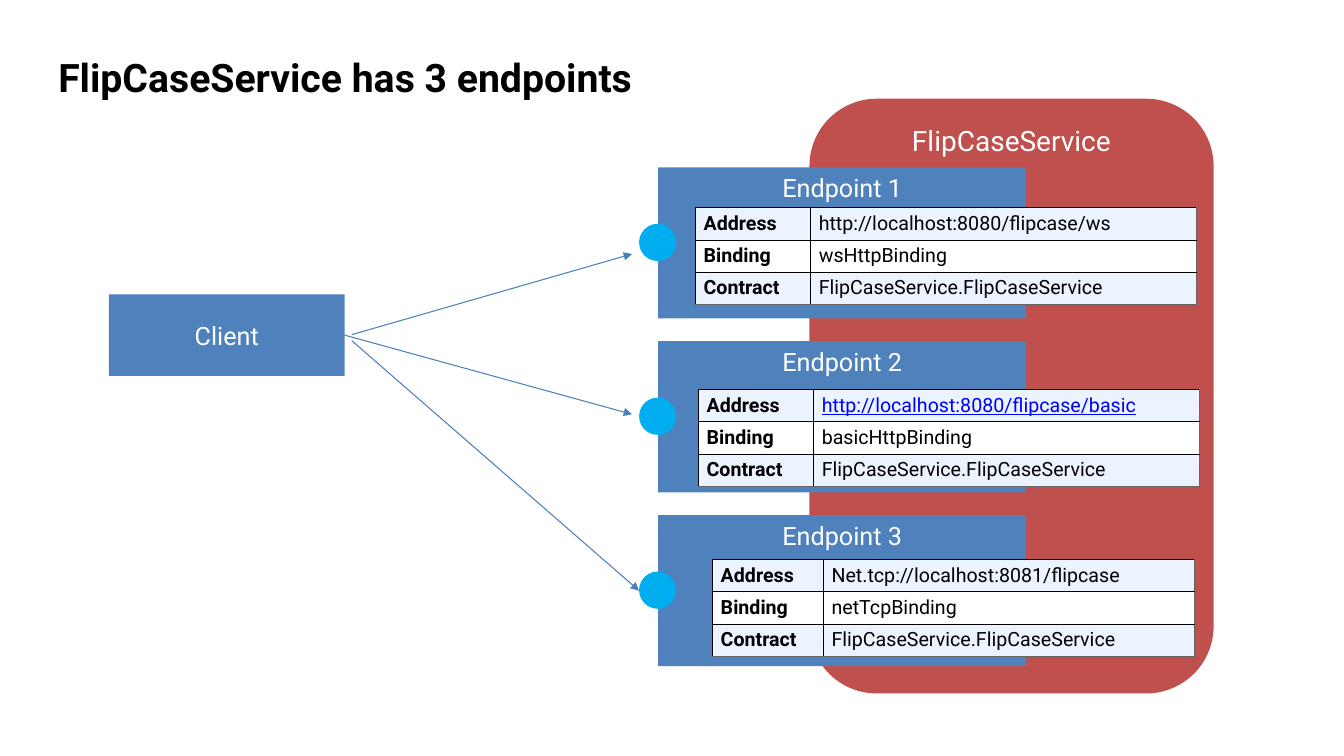
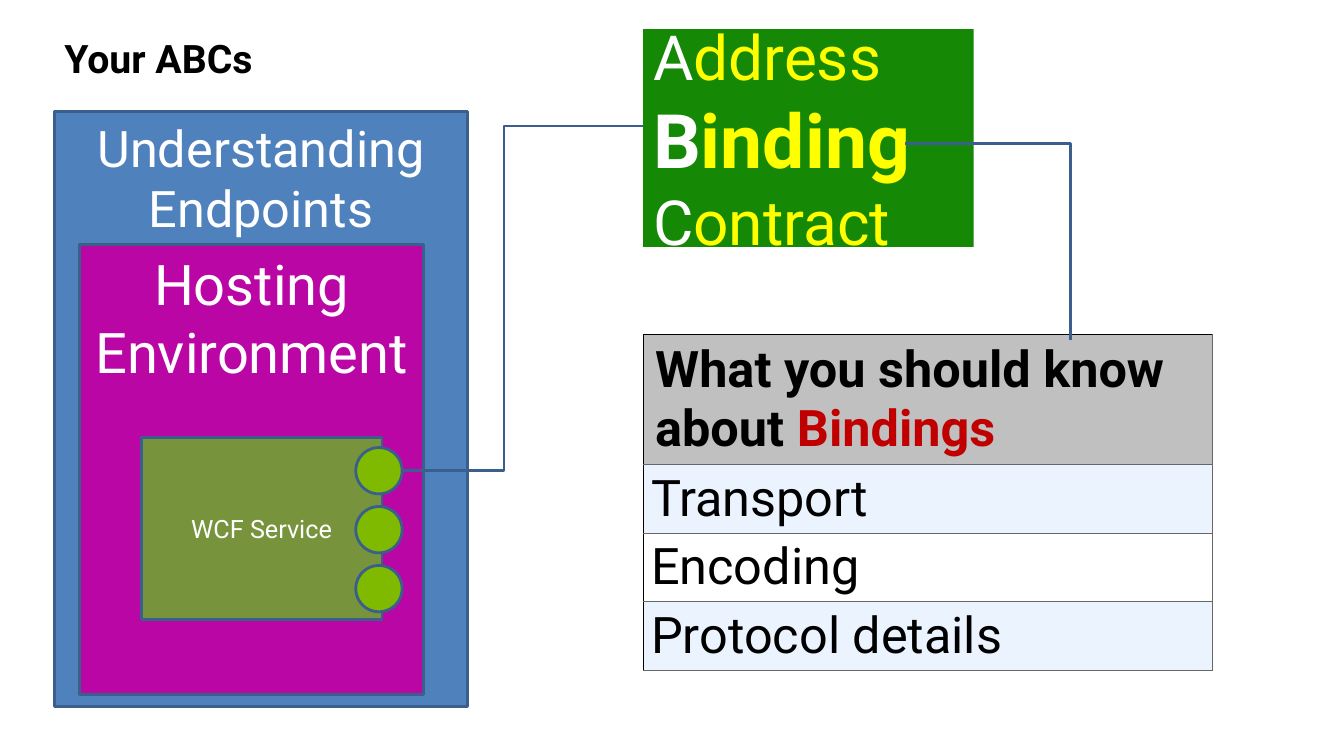
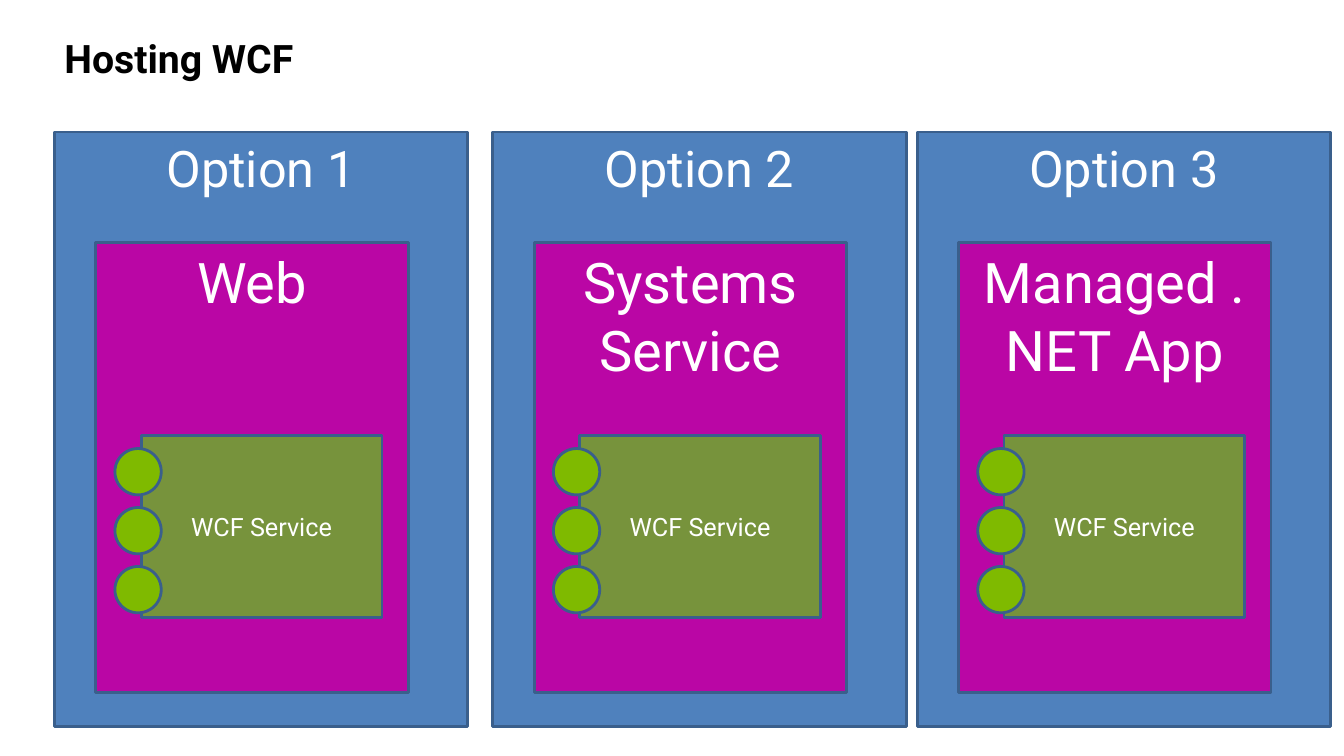
from dataclasses import dataclass

from lxml import etree
from pptx import Presentation
from pptx.dml.color import RGBColor
from pptx.enum.shapes import MSO_CONNECTOR, MSO_SHAPE
from pptx.enum.text import MSO_ANCHOR, PP_ALIGN
from pptx.oxml.ns import qn
from pptx.util import Inches, Pt

RECTANGLE = MSO_SHAPE.RECTANGLE
ROUNDED = MSO_SHAPE.ROUNDED_RECTANGLE
ELLIPSE = MSO_SHAPE.OVAL
STRAIGHT = MSO_CONNECTOR.STRAIGHT
TOP, MIDDLE = MSO_ANCHOR.TOP, MSO_ANCHOR.MIDDLE
LEFT, CENTER = PP_ALIGN.LEFT, PP_ALIGN.CENTER
RIGHT_SIDE = 3

FONT = "Roboto"
WHITE, BLACK, GREY = "FFFFFF", "000000", "666666"
BLUE, RED, CYAN = "4F81BD", "C0504D", "00AEEF"
OUTLINE, ARROW = "3A5F8C", "4B7EBC"
MAGENTA, OLIVE, LIME = "BA06A5", "77933C", "7FBA00"
GREEN, YELLOW = "158905", "FFFF00"
HEADER, HEADER_WORD = "C0C0C0", "C00000"
BAND, LINK = "EBF3FF", "0000FF"

CELL_INCHES = 0.1
GRID_COLUMNS, GRID_ROWS = 133.33, 75

ENDPOINT_PITCH = 17.25
CIRCLE_PITCH = 5.85
ENDPOINTS = [
    ("Endpoint 1", "http://localhost:8080/flipcase/ws", "wsHttpBinding", (3.7, 4, 49.7)),
    ("Endpoint 2", "http://localhost:8080/flipcase/basic", "basicHttpBinding", (4, 4.8, 49.7)),
    ("Endpoint 3", "Net.tcp://localhost:8081/flipcase", "netTcpBinding", (5.4, 4.4, 47.8)),
]
LINKED_ADDRESS = ENDPOINTS[1][1]
ARROWS = [((34.9, 33.2), (62.7, 25.2)), ((34.2, 33.2), (62.7, 41.1)), ((34.9, 33.8), (63.4, 58.6))]
OPTIONS = [(5.4, "Option 1", "Web"), (48.9, "Option 2", "Systems Service"),
           (91, "Option 3", "Managed .NET App")]


@dataclass
class Box:
    left: float
    top: float
    width: float
    height: float

    def inside(self, left, top, width, height):
        return Box(self.left + left, self.top + top, width, height)

    def place(self):
        return [grid(value) for value in (self.left, self.top, self.width, self.height)]


@dataclass
class Style:
    size: float
    color: str = WHITE
    bold: bool = False
    underline: bool = False


def grid(cells):
    return Inches(cells * CELL_INCHES)


def rgb(value):
    return RGBColor.from_string(value)


def write(text_frame, lines, align=LEFT):
    text_frame.word_wrap = True
    for index, runs in enumerate(lines):
        paragraph = text_frame.paragraphs[0] if index == 0 else text_frame.add_paragraph()
        paragraph.alignment = align
        for text, style in runs:
            run = paragraph.add_run()
            run.text = text
            run.font.name = FONT
            run.font.size = Pt(style.size)
            run.font.bold = style.bold
            run.font.underline = style.underline
            run.font.color.rgb = rgb(style.color)


def add_title(slide, box, text):
    shape = slide.shapes.add_textbox(*box.place())
    write(shape.text_frame, [[(text, Style(28, BLACK, True))]])


def set_outline(shape, color):
    if color:
        shape.line.color.rgb = rgb(color)
        shape.line.width = Pt(2)
    else:
        shape.line.fill.background()


def add_block(slide, kind, box, fill, lines=(), anchor=TOP, align=CENTER, outline=None):
    shape = slide.shapes.add_shape(kind, *box.place())
    shape.shadow.inherit = False
    shape.fill.solid()
    shape.fill.fore_color.rgb = rgb(fill)
    set_outline(shape, outline)
    shape.text_frame.vertical_anchor = anchor
    write(shape.text_frame, lines, align)
    return shape


def add_arrow(slide, start, end):
    points = [grid(value) for value in start + end]
    connector = slide.shapes.add_connector(STRAIGHT, *points)
    connector.line.color.rgb = rgb(ARROW)
    connector.line.width = Pt(0.75)
    etree.SubElement(connector.line._get_or_add_ln(), qn("a:tailEnd"), type="triangle")
    etree.SubElement(connector._element.spPr, qn("a:effectLst"))
    return connector


def add_elbow(slide, points):
    start, *rest = [(grid(column), grid(row)) for column, row in points]
    builder = slide.shapes.build_freeform(*start)
    builder.add_line_segments(rest, close=False)
    shape = builder.convert_to_shape()
    shape.shadow.inherit = False
    shape.fill.background()
    set_outline(shape, OUTLINE)


def set_borders(cell, colors):
    properties = cell._tc.get_or_add_tcPr()
    for side, color in zip("LRTB", colors):
        line = etree.SubElement(properties, qn(f"a:ln{side}"), w=str(Pt(0.6)))
        fill = etree.SubElement(line, qn("a:solidFill"))
        etree.SubElement(fill, qn("a:srgbClr"), val=color)


def add_grid_table(slide, box, shares, heights, rows, fills, inner):
    table = slide.shapes.add_table(len(rows), len(shares), *box.place()).table
    table.first_row = table.horz_banding = False
    for column, share in zip(table.columns, shares):
        column.width = grid(box.width * share)
    for row, height in zip(table.rows, heights):
        row.height = grid(height)
    last_row, last_column = len(rows) - 1, len(shares) - 1
    for row_index, row in enumerate(rows):
        for column_index, runs in enumerate(row):
            cell = table.cell(row_index, column_index)
            set_borders(cell, (
                BLACK if column_index == 0 else inner,
                GREY if column_index == last_column else inner,
                BLACK if row_index == 0 else inner,
                GREY if row_index == last_row else inner))
            cell.fill.solid()
            cell.fill.fore_color.rgb = rgb(fills[row_index])
            cell.vertical_anchor = MIDDLE
            side = 1.2 if fills[row_index] == HEADER else 0.8
            cell.margin_left = cell.margin_right = grid(side)
            cell.margin_top = cell.margin_bottom = grid(0.4)
            write(cell.text_frame, [runs])


def add_endpoint(slide, box, name):
    add_block(slide, RECTANGLE, box, BLUE, [[(name, Style(18))]])
    add_block(slide, ELLIPSE, box.inside(-1.9, 5.6, 3.7, 3.7), CYAN)


def add_endpoint_table(slide, box, address, binding):
    label, value = Style(14, BLACK, True), Style(14, BLACK)
    address_style = Style(14, LINK, underline=True) if address == LINKED_ADDRESS else value
    rows = [
        [[("Address", label)], [(address, address_style)]],
        [[("Binding", label)], [(binding, value)]],
        [[("Contract", label)], [("FlipCaseService.FlipCaseService", value)]],
    ]
    add_grid_table(slide, box, (0.23, 0.77), [box.height / 3] * 3, rows,
                   (BAND, WHITE, BAND), BLACK)


def add_service(slide, box, circle_left, circle_top):
    add_block(slide, RECTANGLE, box, OLIVE, [[("WCF Service", Style(18))]], MIDDLE,
              outline=OUTLINE)
    for index in range(3):
        circle = box.inside(circle_left, circle_top + index * CIRCLE_PITCH, 4.6, 4.6)
        add_block(slide, ELLIPSE, circle, LIME, outline=OUTLINE)


def add_hosting_panel(slide, panel, host, heading, host_name):
    add_block(slide, RECTANGLE, panel, BLUE, [[(heading, Style(36))]], outline=OUTLINE)
    add_block(slide, RECTANGLE, host, MAGENTA, [[(host_name, Style(40))]], outline=OUTLINE)


def add_abc_box(slide, box):
    lines = []
    for word, size, bold in (("Address", 44.4, False), ("Binding", 53.6, True),
                             ("Contract", 44.4, False)):
        lines.append([(word[0], Style(size, WHITE, bold)), (word[1:], Style(size, YELLOW, bold))])
    add_block(slide, RECTANGLE, box, GREEN, lines, MIDDLE, LEFT)


def add_bindings_table(slide, box):
    header = [("What you should know about ", Style(36, BLACK, True)),
              ("Bindings", Style(36, HEADER_WORD, True))]
    topics = ("Transport", "Encoding", "Protocol details")
    rows = [[header]] + [[[(topic, Style(36, BLACK))]] for topic in topics]
    add_grid_table(slide, box, (1,), (12.9, 6.8, 6.8, 6.8), rows,
                   (HEADER, BAND, WHITE, BAND), GREY)


def build_endpoints_slide(slide):
    add_title(slide, Box(4.8, 4.8, 111.3, 15.1), "FlipCaseService has 3 endpoints")
    client = add_block(slide, RECTANGLE, Box(10.8, 29.2, 23.4, 8.1), BLUE,
                       [[("Client", Style(18))]], MIDDLE)
    add_block(slide, ROUNDED, Box(80.3, 9.8, 40.1, 59), RED, [[("FlipCaseService", Style(20))]])
    boxes = [Box(65.3, 16.6 + index * ENDPOINT_PITCH, 36.5, 15) for index in range(3)]
    for box, endpoint in zip(boxes, ENDPOINTS):
        add_endpoint(slide, box, endpoint[0])
    connectors = [add_arrow(slide, start, end) for start, end in ARROWS]
    connectors[1].begin_connect(client, RIGHT_SIDE)
    for box, (_, address, binding, (left, top, width)) in zip(boxes, ENDPOINTS):
        add_endpoint_table(slide, box.inside(left, top, width, 9.6), address, binding)


def build_abc_slide(slide):
    add_title(slide, Box(5.4, 2.9, 45.1, 15.1), "Your ABCs")
    panel = Box(5.4, 11.1, 41, 59)
    add_hosting_panel(slide, panel, panel.inside(2.5, 13.2, 34.1, 44.6),
                      "Understanding Endpoints", "Hosting Environment")
    add_service(slide, panel.inside(8.6, 32.3, 23.9, 18.1), 21.3, 1)
    add_elbow(slide, [(39.8, 46.7), (50, 46.7), (50, 12.5), (63.8, 12.5)])
    add_abc_box(slide, Box(63.8, 2.9, 32.8, 21.6))
    add_bindings_table(slide, Box(63.8, 33.2, 56.5, 33.3))
    add_elbow(slide, [(89.8, 14.2), (106.2, 14.2), (106.2, 33.7)])


def build_hosting_slide(slide):
    add_title(slide, Box(5.4, 2.9, 45.1, 15.1), "Hosting WCF")
    for left, heading, host_name in OPTIONS:
        panel = Box(left, 13.1, 41, 59)
        add_hosting_panel(slide, panel, panel.inside(4.1, 11, 31, 44.6), heading, host_name)
        add_service(slide, panel.inside(8.6, 30.1, 23.9, 18.1), -2.6, 1.3)


def main():
    presentation = Presentation()
    presentation.slide_width = grid(GRID_COLUMNS)
    presentation.slide_height = grid(GRID_ROWS)
    blank = presentation.slide_layouts[6]
    for build in (build_endpoints_slide, build_abc_slide, build_hosting_slide):
        build(presentation.slides.add_slide(blank))
    presentation.save("out.pptx")


if __name__ == "__main__":
    main()
